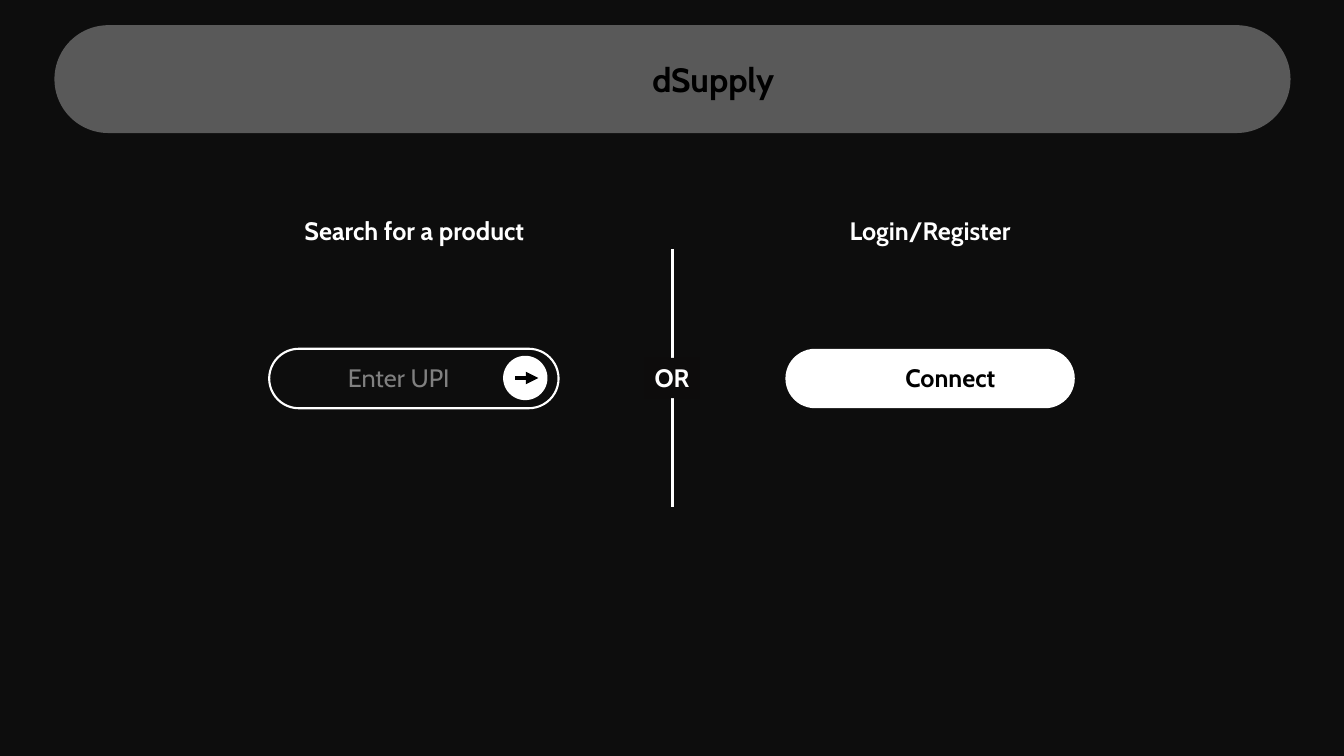
from pptx import Presentation
from pptx import util as u
from pptx.dml import color
from pptx.enum import shapes, text
from pptx.oxml import ns
from lxml import etree

INK, WHITE, BLACK = "0D0D0D", "FFFFFF", "000000"
KIND = shapes.MSO_SHAPE


def rgb(code):
    return color.RGBColor.from_string(code)


class Page:
    font = "Cabin"
    size = 18

    def __init__(self, deck):
        self.slide = deck.slides.add_slide(deck.slide_layouts[5])
        self.items = self.slide.shapes
        back = self.slide.background.fill
        back.solid()
        back.fore_color.rgb = rgb(INK)

    def box(self, x, y, w, h):
        return [u.Inches(n) for n in (x, y, w, h)]

    def shape(self, kind, area, fill=None, line=None):
        item = self.items.add_shape(kind, *self.box(*area))
        item.shadow.inherit = False
        if kind == KIND.ROUNDED_RECTANGLE:
            item.adjustments[0] = 0.5
        if fill:
            item.fill.solid()
            item.fill.fore_color.rgb = rgb(fill)
        else:
            item.fill.background()
        if line:
            item.line.color.rgb = rgb(line)
            item.line.width = u.Pt(1.5)
        else:
            item.line.fill.background()
        return item

    def words(self, item, copy, ink, size=None, bold=True,
              align=text.PP_ALIGN.CENTER):
        frame = item.text_frame
        frame.text = copy
        frame.word_wrap = False
        frame.auto_size = text.MSO_AUTO_SIZE.SHAPE_TO_FIT_TEXT
        frame.vertical_anchor = text.MSO_ANCHOR.TOP
        para = frame.paragraphs[0]
        para.alignment = align
        font = para.font
        font.name = self.font
        font.size = u.Pt(size or self.size)
        font.bold = bold
        font.color.rgb = rgb(ink)

    def label(self, copy, area, ink=WHITE, bold=True):
        item = self.items.add_textbox(*self.box(*area))
        self.words(item, copy, ink, bold=bold)

    def title(self, copy, area):
        item = self.items.title
        item.left, item.top, item.width, item.height = self.box(*area)
        self.words(item, copy, BLACK, 24, align=text.PP_ALIGN.LEFT)
        item.element.getparent().append(item.element)

    def line(self, start, end, ink, width, arrow=False):
        ends = [u.Inches(n) for n in (*start, *end)]
        item = self.items.add_connector(shapes.MSO_CONNECTOR.STRAIGHT, *ends)
        item.line.color.rgb = rgb(ink)
        item.line.width = u.Pt(width)
        props = item.element.spPr
        if arrow:
            tail = etree.SubElement(props.find(ns.qn("a:ln")), ns.qn("a:tailEnd"))
            tail.set("type", "triangle")
        etree.SubElement(props, ns.qn("a:effectLst"))


def main():
    deck = Presentation()
    deck.slide_width = u.Inches(13.33)
    deck.slide_height = u.Inches(7.5)
    page = Page(deck)
    pill = KIND.ROUNDED_RECTANGLE

    page.shape(pill, (0.54, 0.25, 12.26, 1.07), "595959")
    page.title("dSupply", (6.37, 0.53, 1.46, 0.5))

    page.shape(pill, (2.67, 3.46, 2.87, 0.59), line=WHITE)
    page.line((6.67, 2.47), (6.67, 5.03), WHITE, 1.5)
    page.shape(pill, (7.79, 3.46, 2.87, 0.59), WHITE)

    page.label("Enter UPI", (3.35, 3.55, 1.21, 0.4), "808080", False)
    badge = page.shape(KIND.RECTANGLE, (6.39, 3.55, 0.55, 0.4), "0D0C0C")
    page.words(badge, "OR", WHITE)
    page.label("Connect", (8.83, 3.55, 1.19, 0.4), BLACK)

    page.shape(KIND.OVAL, (4.99, 3.53, 0.44, 0.44), WHITE)
    page.line((5.11, 3.75), (5.34, 3.75), BLACK, 3, arrow=True)

    page.label("Login/Register", (8.29, 2.09, 1.87, 0.4))
    page.label("Search for a product", (2.81, 2.09, 2.6, 0.4))
    deck.save("out.pptx")


if __name__ == "__main__":
    main()
